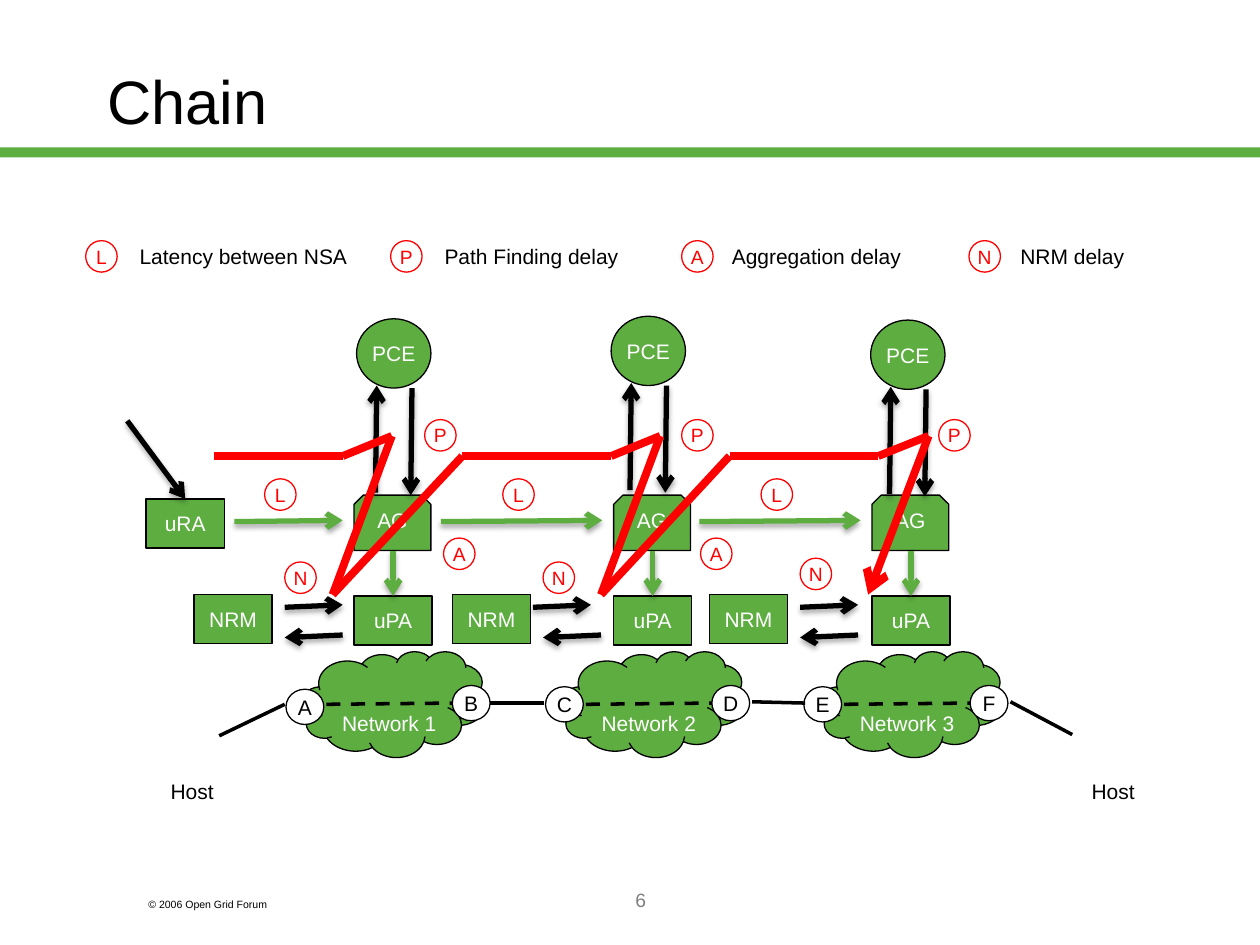
import itertools

import pptx
import pptx.dml.color
import pptx.enum.dml
import pptx.enum.shapes
import pptx.enum.text
import pptx.oxml
import pptx.oxml.ns
import pptx.util

Inches = pptx.util.Inches
Pt = pptx.util.Pt
RGBColor = pptx.dml.color.RGBColor
SHAPE = pptx.enum.shapes.MSO_SHAPE
ALIGN = pptx.enum.text.PP_ALIGN
ANCHOR = pptx.enum.text.MSO_ANCHOR
qn = pptx.oxml.ns.qn

GREEN = RGBColor(0x5D, 0xAD, 0x41)
RED = RGBColor(0xFF, 0x00, 0x00)
BLACK = RGBColor(0x00, 0x00, 0x00)
WHITE = RGBColor(0xFF, 0xFF, 0xFF)
GRAY = RGBColor(0x80, 0x80, 0x80)

EFFECTS = '<a:effectLst xmlns:a="http://schemas.openxmlformats.org/drawingml/2006/main">%s</a:effectLst>'
SOFT_SHADOW = (
    '<a:outerShdw blurRad="39370" dist="22860" dir="5400000" rotWithShape="0">'
    '<a:srgbClr val="000000"><a:alpha val="35000"/></a:srgbClr></a:outerShdw>'
)


def write(frame, text, *, size=12, color=BLACK, align=ALIGN.LEFT, anchor=ANCHOR.TOP, wrap=True):
    frame.word_wrap = wrap
    frame.auto_size = pptx.enum.text.MSO_AUTO_SIZE.NONE
    frame.vertical_anchor = anchor
    paragraph = frame.paragraphs[0]
    paragraph.text = text
    paragraph.alignment = align
    paragraph.font.name = "Arial"
    paragraph.font.size = Pt(size)
    paragraph.font.color.rgb = color


class Diagram:
    """Draws the elements of the chain diagram in one style on one slide."""

    def __init__(self, slide):
        self.slide = slide

    def title(self, text):
        heading = self.slide.shapes.title
        heading.left, heading.top = Inches(0.75), Inches(0.17)
        heading.width, heading.height = Inches(8.5), Inches(1.25)
        write(heading.text_frame, text, size=35, anchor=ANCHOR.MIDDLE)

    def label(self, text, left, top, width, height=0.3, **style):
        box = self.slide.shapes.add_textbox(Inches(left), Inches(top), Inches(width), Inches(height))
        write(box.text_frame, text, **style)

    def shape(self, kind, left, top, width, height, text="", fill=GREEN, line=BLACK, color=WHITE, size=12):
        figure = self.slide.shapes.add_shape(kind, Inches(left), Inches(top), Inches(width), Inches(height))
        figure.shadow.inherit = False
        if fill is None:
            figure.fill.background()
        else:
            figure.fill.solid()
            figure.fill.fore_color.rgb = fill
        if line is None:
            figure.line.fill.background()
        else:
            figure.line.color.rgb = line
            figure.line.width = Pt(0.75)
        if text:
            frame = figure.text_frame
            frame.margin_left = frame.margin_right = frame.margin_top = frame.margin_bottom = 0
            write(frame, text, size=size, color=color, align=ALIGN.CENTER, anchor=ANCHOR.MIDDLE, wrap=False)
        return figure

    def box(self, text, left, top):
        return self.shape(SHAPE.RECTANGLE, left, top, 0.62, 0.39, text)

    def badge(self, letter, left, top):
        self.shape(SHAPE.OVAL, left, top, 0.25, 0.25, letter, fill=None, line=RED, color=RED, size=11)

    def endpoint(self, letter, left, top):
        self.shape(SHAPE.OVAL, left, top, 0.3, 0.28, letter, fill=WHITE, color=BLACK)

    def line(self, start, end, color=BLACK, width=2, dashed=False, arrow=False, shadow=False):
        connector = self.slide.shapes.add_connector(
            pptx.enum.shapes.MSO_CONNECTOR.STRAIGHT, *map(Inches, (*start, *end)))
        connector.line.color.rgb = color
        connector.line.width = Pt(width)
        if dashed:
            connector.line.dash_style = pptx.enum.dml.MSO_LINE.DASH
        properties = connector.element.spPr
        if arrow:
            tail = properties.find(qn("a:ln")).makeelement(qn("a:tailEnd"), {"type": "arrow"})
            properties.find(qn("a:ln")).append(tail)
        properties.append(pptx.oxml.parse_xml(EFFECTS % (SOFT_SHADOW if shadow else "")))
        return connector

    def arrow(self, start, end, color=BLACK):
        return self.line(start, end, color, width=3, arrow=True, shadow=True)

    def domain(self, number, left, letters, entry_top):
        self.shape(SHAPE.SNIP_2_SAME_RECTANGLE, left, 3.93, 0.61, 0.44, "AG").text_frame.margin_bottom = Inches(0.08)
        provider = self.box("uPA", left, 4.73)
        self.arrow((left + 0.31, 4.37), (left + 0.31, 4.73), GREEN).end_connect(provider, 0)
        cloud = self.shape(SHAPE.CLOUD_CALLOUT, left - 0.41, 5.17, 1.46, 0.84)
        cloud.adjustments[0], cloud.adjustments[1] = -0.48, -0.01
        self.endpoint(letters[0], left - 0.54, entry_top)
        self.endpoint(letters[1], left + 0.78, 5.44)
        self.line((left - 0.22, 5.59), (left + 0.78, 5.58), dashed=True)
        self.label(f"Network {number}", left - 0.27, 5.59, 1.1, color=WHITE, align=ALIGN.CENTER)

    def path_finder(self, left, top):
        self.arrow((left + 0.15, top + 1.38), (left + 0.16, top + 0.53))
        self.shape(SHAPE.OVAL, left, top, 0.59, 0.55, "PCE")
        self.arrow((left + 0.44, top + 0.55), (left + 0.43, top + 1.4))

    def resource_manager(self, left, request_left, badge_top):
        self.box("NRM", left, 4.72)
        self.arrow((request_left, 4.82), (request_left + 0.46, 4.8))
        self.arrow((left + 1.18, 5.04), (left + 0.72, 5.06))
        self.badge("N", left + 0.72, badge_top)


def main():
    deck = pptx.Presentation()
    deck.slide_width, deck.slide_height = Inches(10), Inches(7.5)
    chain = Diagram(deck.slides.add_slide(deck.slide_layouts[5]))

    chain.shape(SHAPE.RECTANGLE, 0, 1.17, 10, 0.08, line=None)
    chain.title("Chain")
    chain.label("© 2006 Open Grid Forum", 1.08, 7.08, 1.5, 0.2, size=6)
    chain.label("6", 2.17, 7, 5.83, 0.5, size=11, color=GRAY, align=ALIGN.CENTER)

    legend = [
        ("L", 0.68, "Latency between NSA", 1.01, 1.87),
        ("P", 3.1, "Path Finding delay", 3.43, 1.6),
        ("A", 5.41, "Aggregation delay", 5.71, 1.57),
        ("N", 7.69, "NRM delay", 8, 1.03),
    ]
    for letter, badge_left, meaning, meaning_left, width in legend:
        chain.badge(letter, badge_left, 1.91)
        chain.label(meaning, meaning_left, 1.88, width, wrap=False)

    requester = chain.box("uRA", 1.16, 3.96)
    chain.arrow((1.01, 3.34), (1.47, 3.96)).end_connect(requester, 0)

    domains = [(2.81, "AB", 5.47), (4.87, "CD", 5.45), (6.92, "EF", 5.45)]
    for number, (left, letters, entry_top) in enumerate(domains, 1):
        chain.domain(number, left, letters, entry_top)
    for start, end in [(1.86, 2.72), (3.5, 4.78), (5.55, 6.83)]:
        chain.arrow((start, 4.14), (end, 4.13), GREEN)
    for left, top in [(2.83, 2.53), (4.85, 2.51), (6.91, 2.54)]:
        chain.path_finder(left, top)
    for left, request_left, badge_top in [(1.54, 2.26, 4.46), (3.59, 4.23, 4.46), (5.63, 6.35, 4.43)]:
        chain.resource_manager(left, request_left, badge_top)

    links = [
        ((1.74, 5.84), (2.26, 5.59)),
        ((3.89, 5.58), (4.32, 5.58)),
        ((5.97, 5.57), (6.39, 5.58)),
        ((8.02, 5.57), (8.51, 5.83)),
    ]
    for start, end in links:
        chain.line(start, end)
    for left in (1.25, 8.56):
        chain.label("Host", left, 6.13, 0.55, align=ALIGN.CENTER, wrap=False)

    delays = {"L": (3.8, [2.1, 3.99, 6.04]), "P": (3.33, [3.37, 5.41, 7.45]), "A": (4.27, [3.52, 5.56])}
    for letter, (top, lefts) in delays.items():
        for left in lefts:
            chain.badge(letter, left, top)

    route_x = [1.7, 2.72, 3.11, 2.64, 3.67, 4.85, 5.24, 4.77, 5.79, 6.97, 7.37, 6.89]
    route = list(zip(route_x, itertools.cycle([3.62, 3.62, 3.46, 4.72])))
    for start, end in zip(route, route[1:]):
        chain.line(start, end, RED, width=4.5, arrow=end == route[-1])

    deck.save("out.pptx")


if __name__ == "__main__":
    main()
